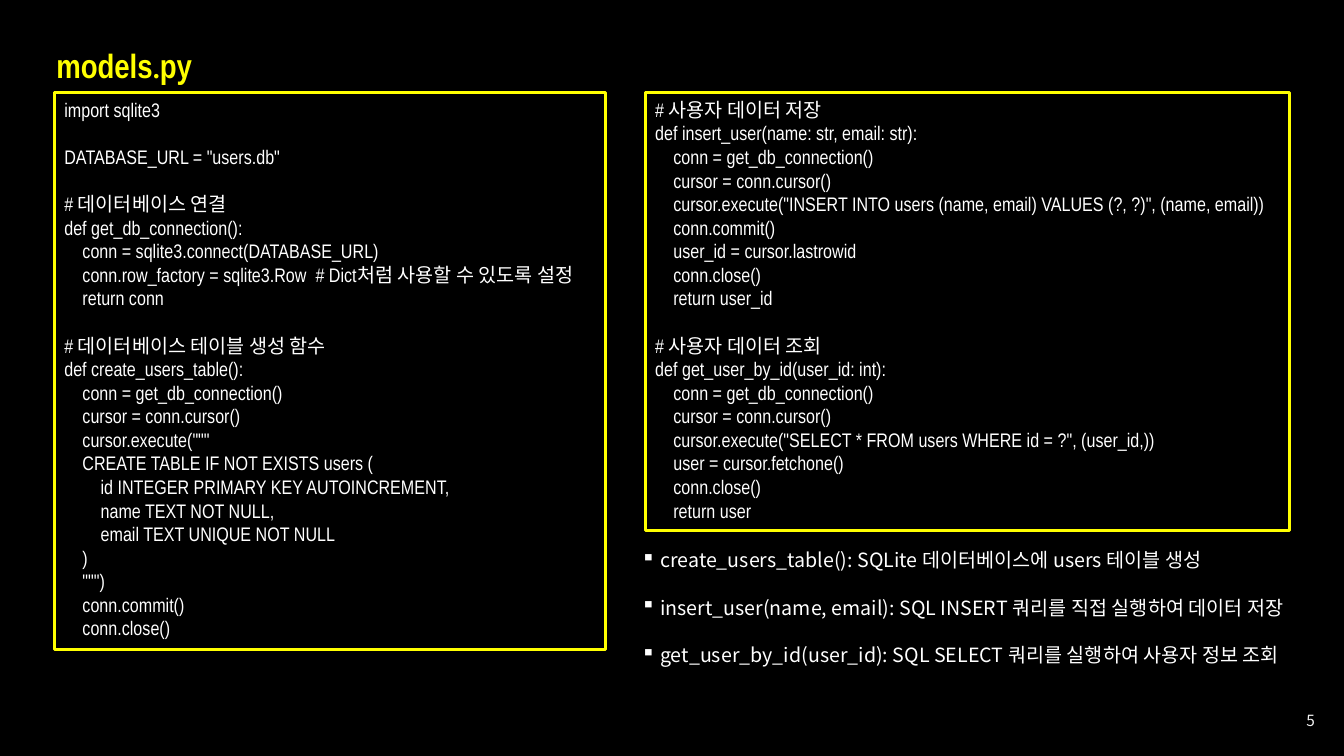
from lxml import etree
from pptx import Presentation
from pptx.dml.color import RGBColor
from pptx.enum.shapes import MSO_SHAPE
from pptx.enum.text import MSO_ANCHOR, PP_ALIGN
from pptx.oxml.ns import qn
from pptx.util import Inches, Pt

RECT = MSO_SHAPE.RECTANGLE
TOP, MIDDLE = MSO_ANCHOR.TOP, MSO_ANCHOR.MIDDLE
LEFT, RIGHT = PP_ALIGN.LEFT, PP_ALIGN.RIGHT

NARROW, KOREAN, SERIF = "Arial Narrow", "Noto Sans CJK KR", "Times New Roman"
BLACK, WHITE, PALE, YELLOW = "000000", "FFFFFF", "F2F2F2", "FFFF00"
PITCH = 16.85  # points from one line to the next
STEP = 0.045  # inches of indent for one leading space of code

SETUP = '''import sqlite3

DATABASE_URL = "users.db"

# 데이터베이스 연결
def get_db_connection():
    conn = sqlite3.connect(DATABASE_URL)
    conn.row_factory = sqlite3.Row  # Dict처럼 사용할 수 있도록 설정
    return conn

# 데이터베이스 테이블 생성 함수
def create_users_table():
    conn = get_db_connection()
    cursor = conn.cursor()
    cursor.execute("""
    CREATE TABLE IF NOT EXISTS users (
        id INTEGER PRIMARY KEY AUTOINCREMENT,
        name TEXT NOT NULL,
        email TEXT UNIQUE NOT NULL
    )
    """)
    conn.commit()
    conn.close()'''

QUERIES = '''# 사용자 데이터 저장
def insert_user(name: str, email: str):
    conn = get_db_connection()
    cursor = conn.cursor()
    cursor.execute("INSERT INTO users (name, email) VALUES (?, ?)", (name, email))
    conn.commit()
    user_id = cursor.lastrowid
    conn.close()
    return user_id

# 사용자 데이터 조회
def get_user_by_id(user_id: int):
    conn = get_db_connection()
    cursor = conn.cursor()
    cursor.execute("SELECT * FROM users WHERE id = ?", (user_id,))
    user = cursor.fetchone()
    conn.close()
    return user'''

NOTES = [
    "create_users_table(): SQLite 데이터베이스에 users 테이블 생성",
    "insert_user(name, email): SQL INSERT 쿼리를 직접 실행하여 데이터 저장",
    "get_user_by_id(user_id): SQL SELECT 쿼리를 실행하여 사용자 정보 조회",
]


def color(code):
    return RGBColor.from_string(code)


def write(para, text, size=14, font=NARROW, tint=WHITE, bold=False):
    run = para.add_run()
    run.text = text
    run.font.size = Pt(size)
    run.font.name = font
    run.font.bold = bold
    run.font.color.rgb = color(tint)
    east = etree.SubElement(run.font._element, qn("a:ea"))
    east.set("typeface", KOREAN)


def layout(para, gap=0, margin=0, hang=0):
    """Set fixed line pitch, space above in lines, and indents in inches."""
    para.alignment = LEFT
    para.line_spacing = Pt(PITCH)
    para.space_before = Pt(gap * PITCH)
    props = para._p.get_or_add_pPr()
    props.set("marL", str(Inches(margin)))
    props.set("indent", str(Inches(-hang)))
    return props


def paras(frame):
    """Yield the first paragraph of a frame, then new ones."""
    yield frame.paragraphs[0]
    while True:
        yield frame.add_paragraph()


def text_box(slide, left, top, width, height, anchor=TOP):
    box = slide.shapes.add_textbox(
        Inches(left), Inches(top), Inches(width), Inches(height))
    frame = box.text_frame
    frame.word_wrap = True
    frame.vertical_anchor = anchor
    return frame


def code_box(slide, code, left, width, height):
    box = slide.shapes.add_shape(
        RECT, Inches(left), Inches(0.92), Inches(width), Inches(height))
    box.shadow.inherit = False
    box.fill.background()
    box.line.color.rgb = color(YELLOW)
    box.line.width = Pt(2.25)
    frame = box.text_frame
    frame.word_wrap = True
    frame.vertical_anchor = TOP
    new = paras(frame)
    gap = 0
    for line in code.splitlines():
        if not line:
            gap = 1
            continue
        text = line.lstrip()
        para = next(new)
        layout(para, gap, (len(line) - len(text)) * STEP)
        write(para, text)
        gap = 0


def bullets(slide, items):
    frame = text_box(slide, 6.26, 5.39, 6.67, 1.28)
    for row, (item, para) in enumerate(zip(items, paras(frame))):
        props = layout(para, min(row, 1), 0.19, 0.19)
        mark = etree.SubElement(props, qn("a:buChar"))
        mark.set("char", "▪")
        write(para, item, font=KOREAN)


def title(slide):
    para = text_box(slide, 0.46, 0.4, 1.71, 0.5).paragraphs[0]
    for text, size, font in [
            ("models", 24, NARROW), (".", 20, SERIF), ("py", 24, NARROW)]:
        write(para, text, size, font, YELLOW, True)


def number(slide):
    para = text_box(slide, 12.32, 6.95, 0.82, 0.4, MIDDLE).paragraphs[0]
    para.alignment = RIGHT
    write(para, "5", 11, KOREAN, PALE)


def main():
    deck = Presentation()
    deck.slide_width, deck.slide_height = Inches(13.33), Inches(7.5)
    slide = deck.slides.add_slide(deck.slide_layouts[6])
    slide.background.fill.solid()
    slide.background.fill.fore_color.rgb = color(BLACK)
    number(slide)
    bullets(slide, NOTES)
    title(slide)
    code_box(slide, SETUP, 0.54, 5.47, 5.52)
    code_box(slide, QUERIES, 6.4, 6.39, 4.34)
    deck.save("out.pptx")


if __name__ == "__main__":
    main()
